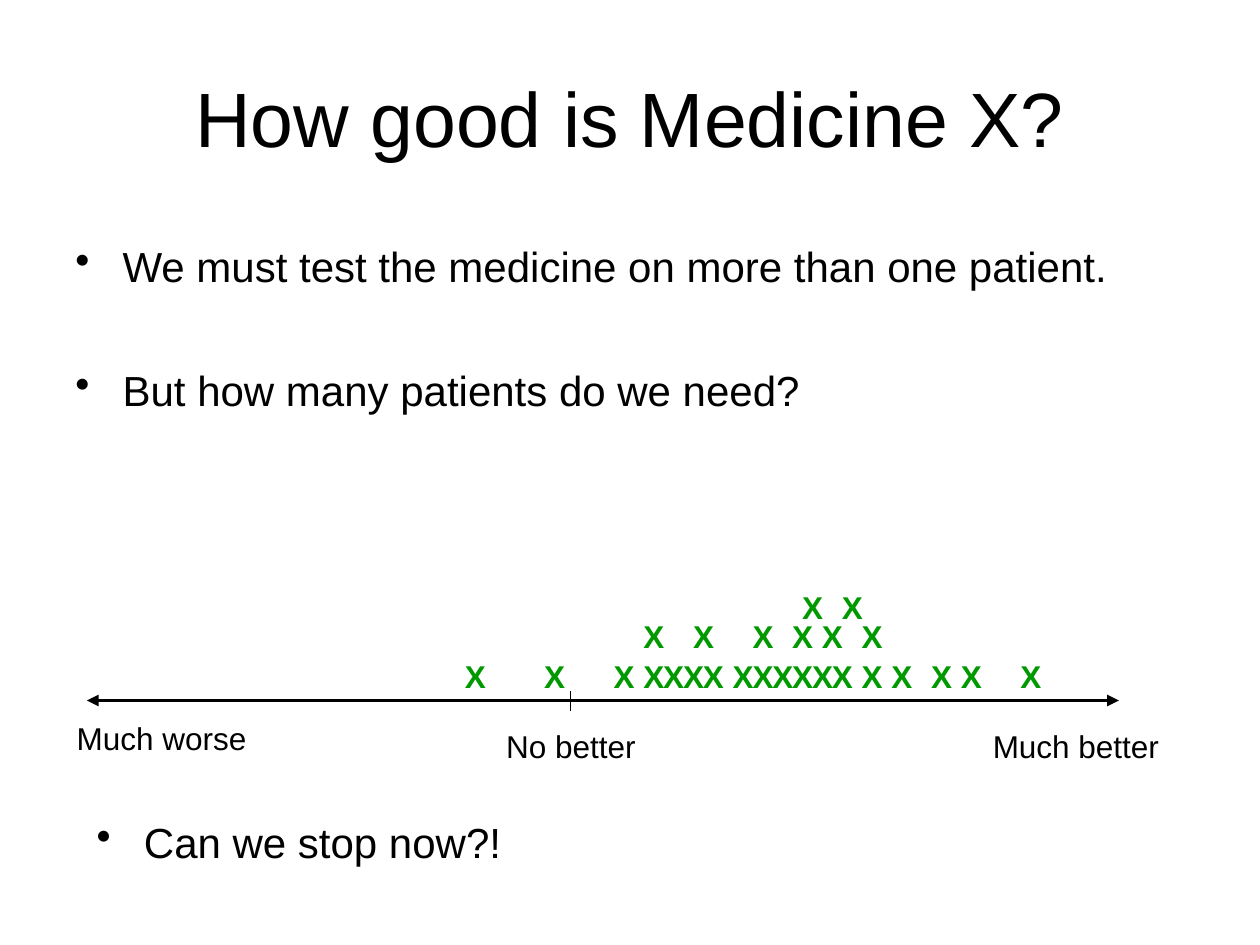
from typing import NamedTuple

from lxml import etree
from pptx import Presentation
from pptx import util as u
from pptx.dml.color import RGBColor
from pptx.enum import shapes, text
from pptx.oxml.ns import qn

BLACK = RGBColor(0, 0, 0)
GREEN = RGBColor(0, 0x99, 0)
WHITE = RGBColor(255, 255, 255)
FONT = "Arial"
HANG = 27  # bullet indent
STEP = 5.67  # one column of the dot plot
LEFT = 258.5  # column 0 of the dot plot


class Box(NamedTuple):
    x: float
    y: float
    w: float
    h: float


class Label(NamedTuple):
    words: str
    box: Box


class Row(NamedTuple):
    y: float
    cols: tuple[int, ...]


class Line(NamedTuple):
    x1: float
    y1: float
    x2: float
    y2: float
    width: float
    arrows: bool


LABELS = (
    Label("Much worse", Box(36.7, 407.5, 111.6, 28.8)),
    Label("No better", Box(282.2, 411.8, 88.6, 28.8)),
    Label("Much better", Box(560.2, 411.8, 109.4, 28.8)),
)
ROWS = (
    Row(372.2, (0, 8, 15, 18, 20, 22, 24, 27, 29, 31, 33, 35, 37,
                40, 43, 47, 50, 56)),
    Row(349.2, (18, 23, 29, 33, 36, 40)),
    Row(332.6, (34, 38)),
)
LINES = (
    Line(49.7, 400.3, 639.4, 400.3, 2.25, True),
    Line(326.2, 394.6, 326.2, 406.1, 0.75, False),
)


def add_text(slide, words: str, box: Box, size: float,
             color: RGBColor = BLACK, wrap: bool = False):
    shape = slide.shapes.add_textbox(*map(u.Pt, box))
    frame = shape.text_frame
    frame.text = words
    frame.word_wrap = wrap
    for para in frame.paragraphs:
        font = para.font
        font.name, font.size, font.color.rgb = FONT, u.Pt(size), color
    return frame


def add_list(slide, items: list[str], box: Box, gap: float = 0) -> None:
    frame = add_text(slide, "", box, 24, wrap=True)
    frame.text = "\n".join(items)
    for n, para in enumerate(frame.paragraphs):
        props = para._p.get_or_add_pPr()
        props.set("marL", str(u.Pt(HANG)))
        props.set("indent", str(-u.Pt(HANG)))
        for old in list(props):
            props.remove(old)
        etree.SubElement(props, qn("a:buChar")).set("char", "•")
        para.space_before = u.Pt(gap if n else 0)
        font = para.font
        font.name, font.size, font.color.rgb = FONT, u.Pt(24), BLACK


def add_line(slide, line: Line) -> None:
    ends = map(u.Pt, line[:4])
    shape = slide.shapes.add_connector(shapes.MSO_CONNECTOR.STRAIGHT, *ends)
    shape.line.color.rgb = BLACK
    shape.line.width = u.Pt(line.width)
    if line.arrows:
        stroke = shape.line._get_or_add_ln()
        for tag in ("a:headEnd", "a:tailEnd"):
            etree.SubElement(stroke, qn(tag)).set("type", "triangle")
    etree.SubElement(shape._element.spPr, qn("a:effectLst"))


def main() -> None:
    deck = Presentation()
    deck.slide_width, deck.slide_height = u.Pt(720), u.Pt(540)
    slide = deck.slides.add_slide(deck.slide_layouts[6])
    slide.background.fill.solid()
    slide.background.fill.fore_color.rgb = WHITE

    # Title
    title = add_text(slide, "How good is Medicine X?",
                     Box(36, 21.6, 648, 90), 44, wrap=True)
    title.vertical_anchor = text.MSO_ANCHOR.MIDDLE
    title.paragraphs[0].alignment = text.PP_ALIGN.CENTER

    # Dot plot: one X per patient
    for row in ROWS:
        for col in row.cols:
            box = Box(LEFT + col * STEP, row.y, 26, 28.8)
            mark = add_text(slide, "X", box, 18, GREEN)
            mark.paragraphs[0].font.bold = True

    # Scale
    for line in LINES:
        add_line(slide, line)
    for label in LABELS:
        add_text(slide, label.words, label.box, 18)

    # Bullets
    add_list(slide, ["We must test the medicine on more than one patient.",
                     "But how many patients do we need?"],
             Box(36, 133.9, 648, 136), gap=42)
    add_list(slide, ["Can we stop now?!"], Box(48.2, 463, 648, 51))

    deck.save("out.pptx")


if __name__ == "__main__":
    main()
